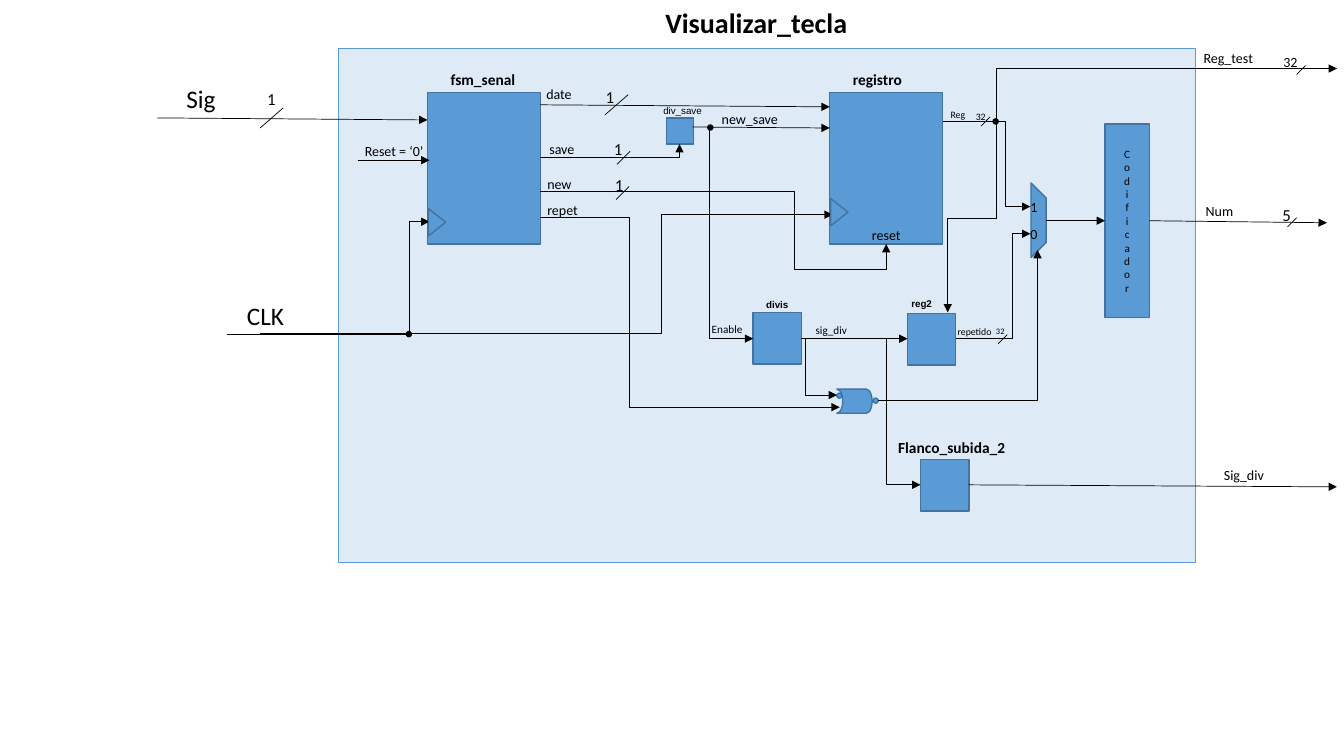
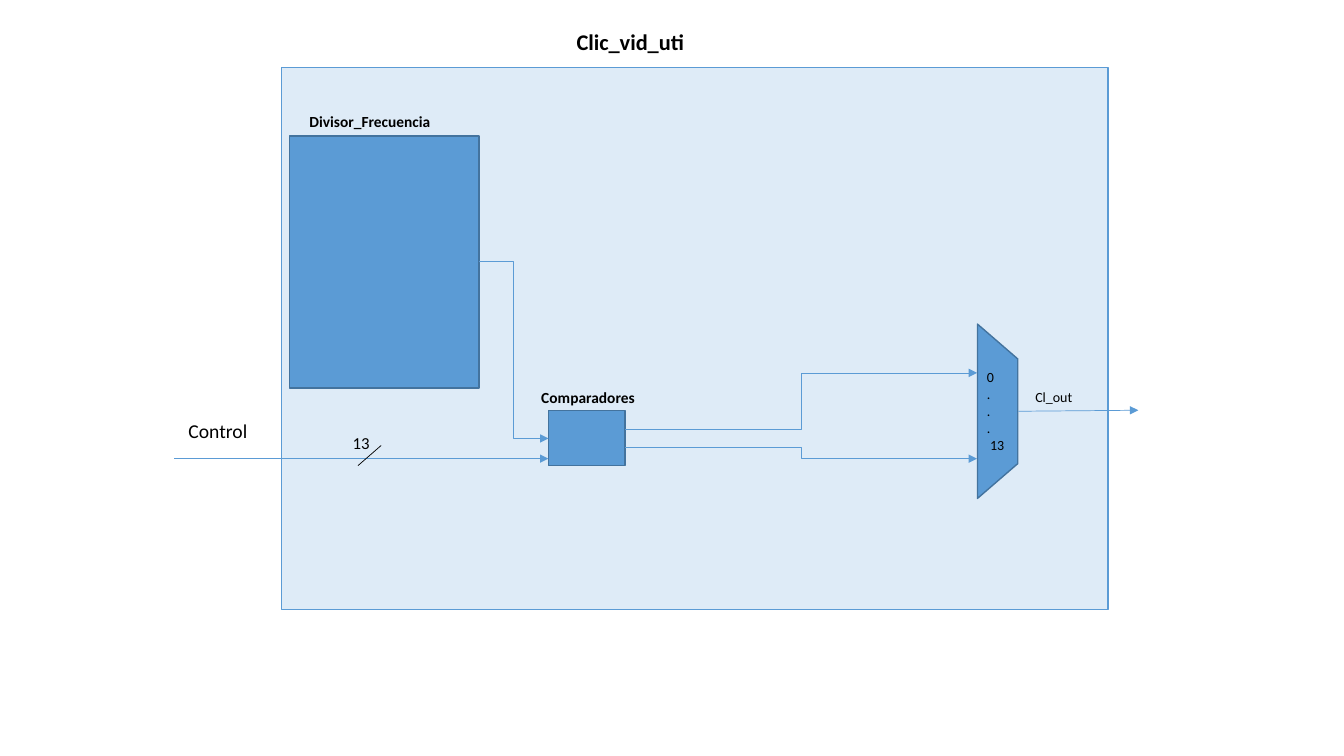
from dataclasses import dataclass

from lxml import etree
from pptx import Presentation
from pptx import util as u
from pptx.dml.color import RGBColor
from pptx.enum import shapes, text
from pptx.oxml.ns import qn
from pptx.shapes.connector import Connector
from pptx.slide import Slide

Point = tuple[float, float]
Size = tuple[float, float]
Preset = shapes.MSO_SHAPE


@dataclass(frozen=True)
class TextStyle:
    """Type size, weight and family of a label."""
    size: float
    bold: bool = False
    name: str = "Calibri"


@dataclass(frozen=True)
class Paint:
    """Fill and outline colours of a shape."""
    fill: str
    edge: str


@dataclass(frozen=True)
class Theme:
    """Colours and type sizes shared by both diagrams."""
    ink: str = "000000"
    blue: str = "5B9BD5"
    system: Paint = Paint("DEEBF7", "5B9BD5")
    block: Paint = Paint("5B9BD5", "43739E")
    bubble: Paint = Paint("5B9BD5", "2E75B6")
    dot: Paint = Paint("000000", "000000")
    title: TextStyle = TextStyle(20, True)
    subtitle: TextStyle = TextStyle(16, True)
    heading: TextStyle = TextStyle(11, True)
    port: TextStyle = TextStyle(18)
    control: TextStyle = TextStyle(14)
    width: TextStyle = TextStyle(12)
    signal: TextStyle = TextStyle(10)
    small: TextStyle = TextStyle(8)
    mini: TextStyle = TextStyle(7)
    tiny: TextStyle = TextStyle(6)
    unit: TextStyle = TextStyle(7, False, "Arial")
    unit_heading: TextStyle = TextStyle(7, True, "Arial")
    edge_width: float = 1
    wire_width: float = 0.5


THEME = Theme()


@dataclass(frozen=True)
class Block:
    """A preset shape; the frame is the one before turning."""
    corner: Point
    size: Size
    paint: Paint = THEME.block
    preset: Preset = Preset.RECTANGLE
    turn: float = 0
    caption: str = ""


@dataclass(frozen=True)
class Wire:
    """A route through right-angled corners, or one straight stretch."""
    route: tuple[Point, ...]
    color: str = THEME.ink
    arrow: bool = True


@dataclass(frozen=True)
class Label:
    """A text box; its height follows from its lines."""
    words: str
    corner: Point
    width: float
    style: TextStyle = THEME.signal
    wrap: bool = True
    inset: float = 0.1


def slash(left: float, top: float, width: float, height: float) -> Wire:
    """Give the stroke that marks a bus."""
    return Wire(((left + width, top), (left, top + height)), arrow=False)


def dot(left: float, top: float, paint: Paint = THEME.dot) -> Block:
    """Give a junction dot or an inversion bubble."""
    return Block((left, top), (0.05, 0.05), paint, Preset.OVAL)


def clock_input(left: float, top: float) -> Block:
    """Give the wedge of a clock input."""
    return Block((left, top), (0.27, 0.17), preset=Preset.ISOSCELES_TRIANGLE, turn=90)


def write(frame, words: str, style: TextStyle) -> None:
    """Fill a text frame, one paragraph per line."""
    for index, line in enumerate(words.split("\n")):
        paragraph = frame.paragraphs[0] if index == 0 else frame.add_paragraph()
        run = paragraph.add_run()
        run.text = line
        for key, value in {"size": u.Pt(style.size), "bold": style.bold,
                           "name": style.name}.items():
            setattr(run.font, key, value)
        run.font.color.rgb = RGBColor.from_string(THEME.ink)


def draw_block(slide: Slide, block: Block) -> None:
    """Draw a block with its vertical caption, if any."""
    shape = slide.shapes.add_shape(
        block.preset, *map(u.Inches, block.corner + block.size))
    shape.shadow.inherit = False
    shape.rotation = block.turn
    shape.fill.solid()
    shape.fill.fore_color.rgb = RGBColor.from_string(block.paint.fill)
    shape.line.color.rgb = RGBColor.from_string(block.paint.edge)
    shape.line.width = u.Pt(THEME.edge_width)
    if block.caption:
        frame = shape.text_frame
        frame.vertical_anchor = text.MSO_ANCHOR.MIDDLE
        write(frame, block.caption, THEME.small)
        frame.paragraphs[0].alignment = text.PP_ALIGN.CENTER
        frame._txBody.bodyPr.set("vert", "wordArtVert")


def add_elbow(slide: Slide, route: tuple[Point, ...]) -> Connector:
    """Add a bent connector whose bends follow the corners of the route."""
    (x1, y1), (x2, y2) = start, end = route[0], route[-1]
    dx, dy = x2 - x1, y2 - y1
    lead = 1 if route[1][0] == x1 else 0
    turn, along, across = 0, dx, dy
    if lead:
        turn, along, across = (270, -dy, dx) if dx > 0 else (90, dy, -dx)
    middle_x, middle_y = (x1 + x2) / 2, (y1 + y2) / 2
    elbow = slide.shapes.add_connector(
        shapes.MSO_CONNECTOR.ELBOW,
        u.Inches(middle_x - along / 2), u.Inches(middle_y - across / 2),
        u.Inches(middle_x + along / 2), u.Inches(middle_y + across / 2))
    elbow.rotation = turn
    geometry = elbow._element.spPr.find(qn("a:prstGeom"))
    geometry.set("prst", f"bentConnector{len(route) - 1}")
    guides = geometry.find(qn("a:avLst"))
    if guides is None:
        guides = etree.SubElement(geometry, qn("a:avLst"))
    for number, corner in enumerate(route[1:-2], 1):
        axis = (lead + number - 1) % 2
        share = (corner[axis] - start[axis]) / (end[axis] - start[axis])
        etree.SubElement(guides, qn("a:gd"), name=f"adj{number}",
                         fmla=f"val {round(share * 100000)}")
    return elbow


def draw_wire(slide: Slide, wire: Wire) -> None:
    """Draw a wire, straight or bent, with its arrowhead."""
    if len(wire.route) == 2:
        connector = slide.shapes.add_connector(
            shapes.MSO_CONNECTOR.STRAIGHT,
            *(u.Inches(value) for point in wire.route for value in point))
    else:
        connector = add_elbow(slide, wire.route)
    connector.line.color.rgb = RGBColor.from_string(wire.color)
    connector.line.width = u.Pt(THEME.wire_width)
    properties = connector._element.spPr
    if wire.arrow:
        etree.SubElement(properties.find(qn("a:ln")), qn("a:tailEnd"), type="triangle")
    etree.SubElement(properties, qn("a:effectLst"))


def draw_label(slide: Slide, label: Label) -> None:
    """Draw a label sized to its lines."""
    lines = label.words.count("\n") + 1
    height = lines * label.style.size * 1.22 / 72 + 0.1
    box = slide.shapes.add_textbox(
        *map(u.Inches, (*label.corner, label.width, height)))
    frame = box.text_frame
    for key, value in {"word_wrap": label.wrap,
                       "auto_size": text.MSO_AUTO_SIZE.SHAPE_TO_FIT_TEXT,
                       "margin_left": u.Inches(label.inset),
                       "margin_right": u.Inches(label.inset)}.items():
        setattr(frame, key, value)
    write(frame, label.words, label.style)


def draw_diagram(deck, blocks: list[Block], wires: list[Wire],
                 marks: list[Block], labels: list[Label]) -> None:
    """Add one slide and draw its diagram from back to front."""
    slide = deck.slides.add_slide(deck.slide_layouts[6])
    for draw, items in ((draw_block, blocks), (draw_wire, wires),
                        (draw_block, marks), (draw_label, labels)):
        for item in items:
            draw(slide, item)


def draw_key_display(deck) -> None:
    """Draw the key display circuit."""
    register, unit = (1.12, 1.5), (0.48, 0.51)
    blocks = [
        Block((3.36, 0.48), (8.5, 5.1), THEME.system),
        *(Block((left, 0.92), register) for left in (4.24, 8.23)),
        Block((6.61, 1.17), (0.27, 0.26)),
        *(Block(corner, unit) for corner in ((7.47, 3.1), (9, 3.11), (9.13, 4.56))),
        Block((9.93, 2.11), (0.74, 0.15),
              preset=Preset.FLOWCHART_MANUAL_OPERATION, turn=270),
        Block((8.3, 3.86), (0.35, 0.24),
              preset=Preset.FLOWCHART_STORED_DATA, turn=180),
        dot(8.3, 3.9, THEME.bubble), dot(8.66, 3.95, THEME.bubble),
        Block((10.96, 1.23), (0.44, 1.92), caption="Codificador"),
    ]
    routes = [
        ((1.56, 1.17), (4.24, 1.19)),
        ((3.55, 1.59), (4.26, 1.59)),
        ((5.36, 1.04), (8.23, 1.06)),
        ((6.74, 1.57), (6.74, 1.43)),
        ((6.87, 1.26), (8.23, 1.27)),
        ((5.36, 1.9), (7.88, 1.9), (7.88, 2.67), (8.79, 2.67), (8.79, 2.42)),
        ((7.04, 3.36), (7.47, 3.36)),
        ((7.94, 3.36), (9, 3.36)),
        ((9.35, 1.2), (9.97, 1.2), (9.97, 2.05), (10.22, 2.05)),
        ((9.48, 3.36), (10.04, 3.36), (10.04, 2.32), (10.22, 2.32)),
        ((9.88, 1.23), (9.88, 2.17), (9.4, 2.17), (9.4, 3.1)),
        ((5.36, 2.16), (6.24, 2.16), (6.24, 4.04), (8.33, 4.04)),
        ((7.99, 3.36), (7.99, 3.92), (8.3, 3.92)),
        ((8.71, 3.97), (10.29, 3.97), (10.29, 2.48)),
        ((10.37, 2.19), (10.96, 2.19)),
        ((8.79, 3.36), (8.79, 4.81), (9.13, 4.81)),
        ((9.88, 1.18), (9.88, 0.68), (13.26, 0.68)),
        ((11.4, 2.19), (13.16, 2.21)),
        ((9.61, 4.81), (13.26, 4.83)),
        ((2.25, 3.32), (4.06, 3.32), (4.06, 2.2), (4.26, 2.2)),
        ((2.58, 3.31), (6.56, 3.31), (6.56, 2.13), (8.26, 2.13)),
    ]
    wires = [
        *map(Wire, routes),
        Wire(((5.36, 1.56), (6.74, 1.56)), arrow=False),
        Wire(((7.04, 1.25), (7.04, 3.36)), arrow=False),
        *(slash(left, top, 0.23, 0.2) for left, top in ((2.58, 1.07), (6, 0.94))),
        *(slash(left, top, 0.13, 0.13) for left, top in ((6.12, 1.5), (6.11, 1.85))),
        *(slash(left, top, 0.09, 0.09) for left, top in
          ((9.9, 3.32), (12.86, 0.65), (9.73, 1.16), (12.77, 2.16))),
    ]
    marks = [dot(7.02, 1.24), dot(9.85, 1.18), dot(4.03, 3.29),
             clock_input(4.2, 2.12), clock_input(8.19, 2.02)]
    labels = [
        Label("Visualizar_tecla", (6.5, 0.01), 2.02, THEME.title, False),
        Label("CLK", (2.35, 2.93), 0.58, THEME.port, False),
        Label("Sig", (1.75, 0.78), 0.49, THEME.port, False),
        Label("fsm_senal", (4.37, 0.65), 0.85, THEME.heading, False),
        Label("registro", (8.36, 0.65), 0.7, THEME.heading, False),
        Label("Flanco_subida_2", (8.81, 4.3), 1.27, THEME.heading, False),
        Label("div_save", (6.48, 0.99), 0.79, THEME.unit),
        Label("divis", (7.5, 2.91), 0.79, THEME.unit_heading),
        Label("reg2", (8.94, 2.9), 0.79, THEME.unit_heading),
        *(Label(words, corner, 0.72) for words, corner in (
            ("Num", (11.86, 1.96)), ("Sig_div", (12.04, 4.58)),
            ("date", (5.32, 0.8)), ("save", (5.35, 1.34)), ("new", (5.33, 1.69)),
            ("repet", (5.33, 1.95)), ("reset", (8.55, 2.2)))),
        Label("Reset = ‘0’", (3.52, 1.36), 0.83),
        Label("new_save", (7.06, 1.05), 0.89),
        Label("Reg_test", (11.84, 0.44), 0.7, wrap=False),
        Label("32", (12.63, 0.48), 0.37),
        Label("5", (12.62, 1.98), 0.29, THEME.width),
        Label("1", (2.55, 0.83), 0.29, THEME.width, False),
        *(Label("1", corner, 0.37, THEME.width)
          for corner in ((5.91, 0.81), (5.99, 1.33), (6, 1.68))),
        Label("1", (10.22, 1.92), 0.1, inset=0),
        Label("0", (10.22, 2.19), 0.1, inset=0),
        Label("Enable", (6.96, 3.15), 0.61, THEME.small),
        Label("sig_div", (7.99, 3.16), 0.61, THEME.small),
        Label("repetido", (9.4, 3.18), 0.89, THEME.mini),
        Label("32", (9.78, 3.19), 0.35, THEME.tiny),
        Label("Reg", (9.33, 1.03), 0.35, THEME.mini, False),
        Label("32", (9.58, 1.05), 0.37, THEME.mini),
    ]
    draw_diagram(deck, blocks, wires, marks, labels)


def draw_clock_selector(deck) -> None:
    """Draw the clock selector circuit."""
    blocks = [
        Block((2.79, 0.67), (8.2, 5.38), THEME.system),
        Block((2.87, 1.35), (1.88, 2.5)),
        Block((5.44, 4.07), (0.76, 0.55)),
        Block((9.03, 3.88), (1.73, 0.4),
              preset=Preset.FLOWCHART_MANUAL_OPERATION, turn=270),
    ]
    routes = [
        ((6.2, 4.26), (7.95, 4.26), (7.95, 3.7), (9.69, 3.7)),
        ((6.2, 4.44), (7.95, 4.44), (7.95, 4.55), (9.69, 4.55)),
        ((4.75, 2.59), (5.09, 2.59), (5.09, 4.35), (5.44, 4.35)),
        ((1.73, 4.55), (5.44, 4.55)),
        ((10.1, 4.08), (11.29, 4.07)),
    ]
    wires = [*(Wire(route, THEME.blue) for route in routes),
             slash(3.55, 4.42, 0.23, 0.2)]
    labels = [
        Label("Clic_vid_uti", (5.62, 0.23), 1.77, THEME.subtitle),
        Label("Divisor_Frecuencia", (2.97, 1.06), 1.41, THEME.heading, False),
        Label("Comparadores", (5.27, 3.8), 1.14, THEME.heading, False),
        Label("Control", (1.77, 4.11), 0.79, THEME.control, False),
        Label("Cl_out", (10.17, 3.81), 0.57, wrap=False),
        Label("13", (3.4, 4.24), 0.37, THEME.width, False),
        Label("0\n.\n.\n.\n 13", (9.69, 3.61), 0.4),
    ]
    draw_diagram(deck, blocks, wires, [], labels)


def main() -> None:
    """Build both slides and save the deck."""
    deck = Presentation()
    deck.slide_width, deck.slide_height = u.Inches(13.33), u.Inches(7.5)
    draw_key_display(deck)
    draw_clock_selector(deck)
    deck.save("out.pptx")


main()
